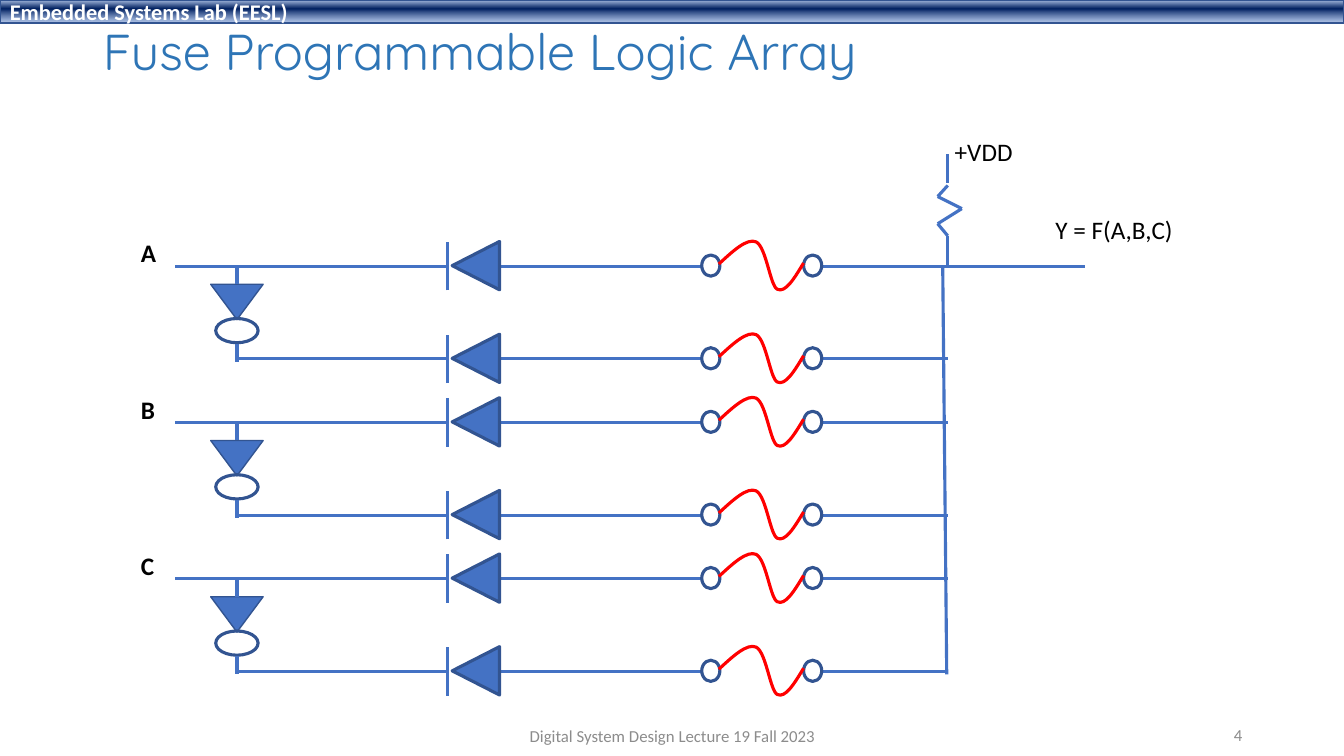
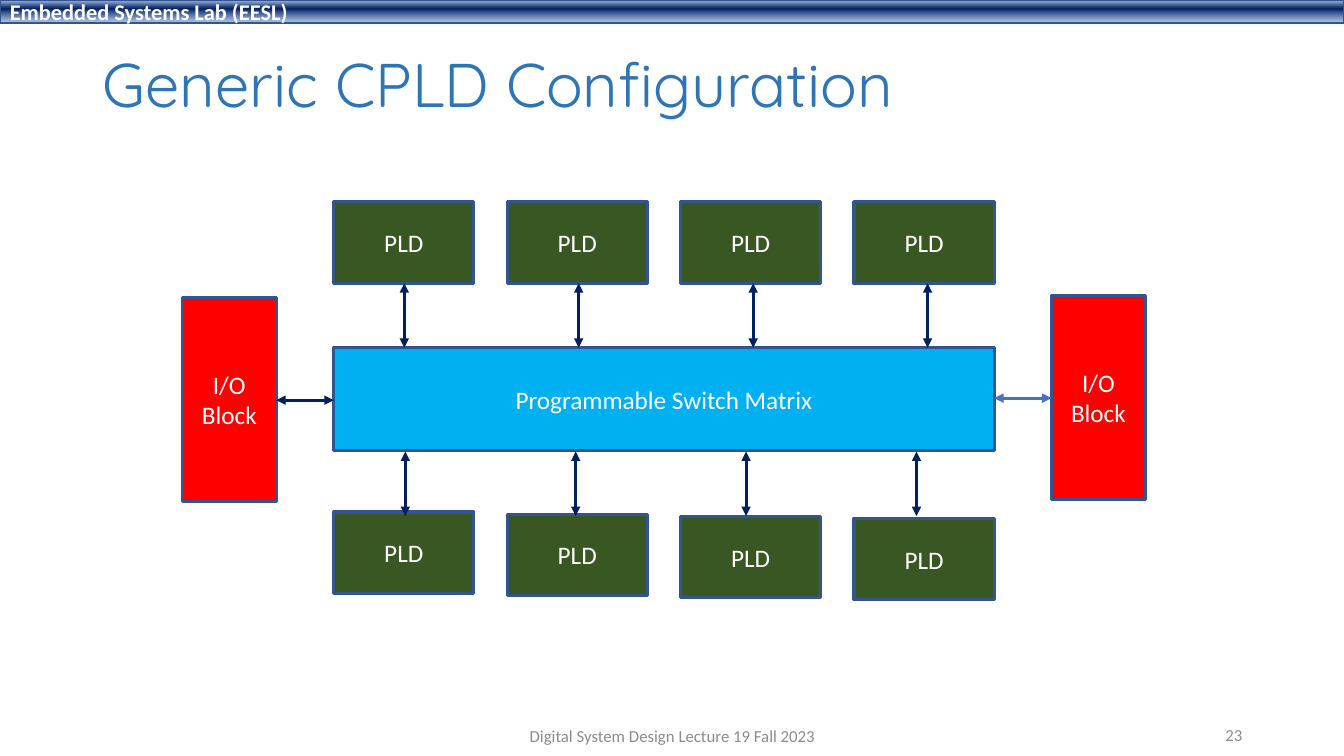
from lxml.etree import SubElement
from pptx import Presentation
from pptx.dml.color import RGBColor
from pptx.enum.shapes import MSO_CONNECTOR, MSO_SHAPE
from pptx.enum.text import MSO_ANCHOR, MSO_AUTO_SIZE, PP_ALIGN
from pptx.oxml.ns import qn
from pptx.util import Inches, Pt

STRAIGHT = MSO_CONNECTOR.STRAIGHT
RECTANGLE, ELLIPSE, TRIANGLE = MSO_SHAPE.RECTANGLE, MSO_SHAPE.OVAL, MSO_SHAPE.ISOSCELES_TRIANGLE
MIDDLE, TOP = MSO_ANCHOR.MIDDLE, MSO_ANCHOR.TOP
LEFT, CENTER, RIGHT = PP_ALIGN.LEFT, PP_ALIGN.CENTER, PP_ALIGN.RIGHT
NO_AUTOFIT = MSO_AUTO_SIZE.NONE

COLORS = {
    "title": "2E75B6", "footer": "8C8C8C", "text": "000000", "white": "FFFFFF",
    "wire": "4472C4", "outline": "325491", "fuse": "FF0000", "arrow": "002060",
    "matrix": "00B0F0", "pld": "385723", "io": "FF0000",
}
BAND_STOPS = [(2, "ABC0E4", 100), (38, "002060", 100), (93, "7E9ED6", 64)]
BODY_FONT, TITLE_FONT = "Calibri", "Quicksand"
FOOTER_TEXT = "Digital System Design Lecture 19 Fall 2023"
LINE_WIDTH = 2.25
FUSE_START = (0.17, -0.02)
FUSE_CURVES = [
    [(0.31, -0.15), (0.45, -0.28), (0.54, -0.24)],
    [(0.64, -0.19), (0.68, 0.2), (0.75, 0.23)],
    [(0.83, 0.27), (0.92, 0.12), (1.01, -0.03)],
]


def color(name):
    return RGBColor.from_string(COLORS[name])


def inches(*values):
    return [Inches(value) for value in values]


def write(box, text, size, ink, align=LEFT, anchor=MIDDLE, bold=False, font=BODY_FONT, wrap=True):
    frame = box.text_frame
    frame.text = text
    for name, value in {"word_wrap": wrap, "vertical_anchor": anchor,
                        "auto_size": NO_AUTOFIT}.items():
        setattr(frame, name, value)
    for para in frame.paragraphs:
        para.alignment = align
        for name, value in {"name": font, "size": Pt(size), "bold": bold}.items():
            setattr(para.font, name, value)
        para.font.color.rgb = color(ink)


def add_label(shapes, box, text, size=18, ink="text", **formats):
    write(shapes.add_textbox(*inches(*box)), text, size, ink, **formats)


def add_figure(shapes, kind, box, fill=None, width=LINE_WIDTH, rotation=0):
    """Add an outlined preset shape, hollow unless a fill is named."""
    figure = shapes.add_shape(kind, *inches(*box))
    figure.shadow.inherit = False
    figure.rotation = rotation
    if fill:
        figure.fill.solid()
        figure.fill.fore_color.rgb = color(fill)
    else:
        figure.fill.background()
    figure.line.color.rgb = color("outline")
    figure.line.width = Pt(width)
    return figure


def add_wire(shapes, start, end, ink="wire", arrows=False):
    wire = shapes.add_connector(STRAIGHT, *inches(*start, *end))
    wire.line.color.rgb = color(ink)
    wire.line.width = Pt(LINE_WIDTH)
    properties = wire.element.spPr
    if arrows:
        for tag in ("a:headEnd", "a:tailEnd"):
            SubElement(properties.find(qn("a:ln")), qn(tag), type="triangle")
    SubElement(properties, qn("a:effectLst"))


def add_band(page):
    """Draw the gradient band once and hand it to the layout all slides use."""
    band = add_figure(page.shapes, RECTANGLE, (0, 0, 13.33, 0.23), width=1)
    band.fill.gradient()
    band.fill.gradient_angle = 270
    stops = band.element.spPr.find(qn("a:gradFill")).find(qn("a:gsLst"))
    for stop in list(stops):
        stops.remove(stop)
    for position, value, opacity in BAND_STOPS:
        stop = SubElement(stops, qn("a:gs"), pos=str(position * 1000))
        ink = SubElement(stop, qn("a:srgbClr"), val=value)
        if opacity < 100:
            SubElement(ink, qn("a:alpha"), val=str(opacity * 1000))
    write(band, "Embedded Systems Lab (EESL)", 16, "white", bold=True)
    band.element.nvSpPr.cNvPr.set("id", "20")
    page.slide_layout.shapes.element.append(band.element)


def add_page(deck, layout, title, title_box, title_size, number):
    page = deck.slides.add_slide(layout)
    heading = page.shapes.title
    heading.left, heading.top, heading.width, heading.height = inches(*title_box)
    write(heading, title, title_size, "title", font=TITLE_FONT)
    heading.text_frame.paragraphs[0].line_spacing = 0.9
    add_label(page.shapes, (9.42, 7.09, 3, 0.4), str(number), 12, "footer", align=RIGHT)
    add_label(page.shapes, (4.42, 7.1, 4.5, 0.4), FOOTER_TEXT, 12, "footer", align=CENTER)
    return page


def bend_lines(outline, curves):
    """Turn each straight segment of a freeform into the cubic curve given for it."""
    segments = list(outline.element.iter(qn("a:lnTo")))
    for segment, curve in zip(segments, curves):
        bend = segment.makeelement(qn("a:cubicBezTo"))
        for x, y in curve:
            SubElement(bend, qn("a:pt"), x=str(Inches(x) - outline.left),
                       y=str(Inches(y) - outline.top))
        segment.getparent().replace(segment, bend)


def add_fuse(shapes, x, y):
    """Draw two terminals and the red link; x is the left edge, y the wire."""
    for offset in (0, 1.01):
        add_figure(shapes, ELLIPSE, (x + offset, y - 0.11, 0.18, 0.21))
    curves = [[(x + across, y + down) for across, down in curve] for curve in FUSE_CURVES]
    builder = shapes.build_freeform(*inches(x + FUSE_START[0], y + FUSE_START[1]))
    builder.add_line_segments([inches(*curve[-1]) for curve in curves], close=False)
    link = builder.convert_to_shape()
    bend_lines(link, curves)
    link.shadow.inherit = False
    link.fill.background()
    link.line.color.rgb = color("fuse")
    link.line.width = Pt(LINE_WIDTH)


def add_fuse_row(page, x, y):
    """Draw a wire with a diode and a fuse, from x to the output bus."""
    shapes = page.shapes.add_group_shape().shapes
    for start, end in ((0, 0.74), (1.26, 1.99), (1.98, 3.26), (4.45, 5.7)):
        add_wire(shapes, (x + start, y), (x + end, y))
    add_figure(shapes, TRIANGLE, (x + 0.78, y - 0.24, 0.48, 0.47), "wire", rotation=270)
    add_wire(shapes, (x + 0.74, y + 0.24), (x + 0.74, y - 0.24))
    add_fuse(shapes, x + 3.26, y)


def add_inverter(page, x, y):
    """Draw an inverter hanging from the wire at height y, centred on x."""
    shapes = page.shapes.add_group_shape().shapes
    add_figure(shapes, TRIANGLE, (x - 0.26, y + 0.18, 0.52, 0.35), "wire", 1, 180)
    add_figure(shapes, ELLIPSE, (x - 0.21, y + 0.52, 0.42, 0.24), rotation=180)
    for start, end in ((0, 0.18), (0.77, 0.95)):
        add_wire(shapes, (x, y + start), (x, y + end))


def add_input(page, name, y):
    add_wire(page.shapes, (1.74, y), (3.74, y))
    add_label(page.shapes, (1.3, y - 0.33, 0.35, 0.4), name, bold=True, anchor=TOP, wrap=False)
    add_inverter(page, 2.35, y)
    add_fuse_row(page, 3.7, y)
    add_fuse_row(page, 3.7, y + 0.92)
    add_wire(page.shapes, (3.7, y + 0.92), (2.35, y + 0.92))


def add_resistor(page, x, y):
    shapes = page.shapes.add_group_shape().shapes
    add_wire(shapes, (x, y), (x, y + 0.29))
    bends = [(0, 0.31), (-0.1, 0.42), (0.14, 0.54), (-0.1, 0.69), (0, 0.81), (0, 1.11)]
    for (x1, y1), (x2, y2) in zip(bends, bends[1:]):
        add_wire(shapes, (x + x1, y + y1), (x + x2, y + y2))


def add_logic_array(page, top):
    """Draw the inputs and the pulled-up output; top is the first wire."""
    add_resistor(page, 9.4, top - 1.11)
    for index, name in enumerate("ABC"):
        add_input(page, name, top + 1.55 * index)
    add_wire(page.shapes, (9.35, top), (9.39, top + 4.05))
    add_wire(page.shapes, (9.39, top), (10.76, top))
    add_label(page.shapes, (9.37, top - 1.34, 0.78, 0.4), "+VDD", anchor=TOP, wrap=False)
    add_label(page.shapes, (10.37, top - 0.56, 1.38, 0.4), "Y = F(A,B,C)", anchor=TOP, wrap=False)


def add_block(shapes, box, text, fill):
    write(add_figure(shapes, RECTANGLE, box, fill), text, 18, "white", align=CENTER)


def add_cpld(page, left, top, width, height):
    """Draw PLDs and I/O blocks around a switch matrix that fills the given box."""
    shapes = page.shapes.add_group_shape().shapes
    right, bottom = left + width, top + height
    add_block(shapes, (left, top, width, height), "Programmable Switch Matrix", "matrix")
    for index in range(4):
        x = left + 1.72 * index
        for y in (top - 1.45, bottom + 0.61 + 0.02 * index):
            add_block(shapes, (x, y, 1.39, 0.81), "PLD", "pld")
        for x, y in ((left + 0.7 + 1.73 * index, top - 0.64),
                     (left + 0.71 + 1.69 * index, bottom + 0.01)):
            add_wire(shapes, (x, y), (x, y + 0.64), "arrow", arrows=True)
    for block_left, block_top, arrow_left, ink in (
            (left - 1.5, top - 0.5, left - 0.57, "arrow"),
            (right + 0.57, top - 0.52, right, "wire")):
        add_block(shapes, (block_left, block_top, 0.93, 2.03), "I/O\nBlock", "io")
        y = block_top + 1.02
        add_wire(shapes, (arrow_left, y), (arrow_left + 0.57, y), ink, arrows=True)


def main():
    deck = Presentation()
    deck.slide_width, deck.slide_height = inches(13.33, 7.5)
    layout = deck.slide_layouts.get_by_name("Title Only")

    array_page = add_page(deck, layout, "Fuse Programmable Logic Array",
                          (0.92, 0.15, 11.5, 0.77), 36, 4)
    add_band(array_page)
    add_logic_array(array_page, 2.64)

    cpld_page = add_page(deck, layout, "Generic CPLD Configuration",
                         (0.92, 0.4, 11.5, 0.93), 44, 23)
    add_cpld(cpld_page, 3.31, 3.45, 6.55, 1.02)
    deck.save("out.pptx")


if __name__ == "__main__":
    main()
